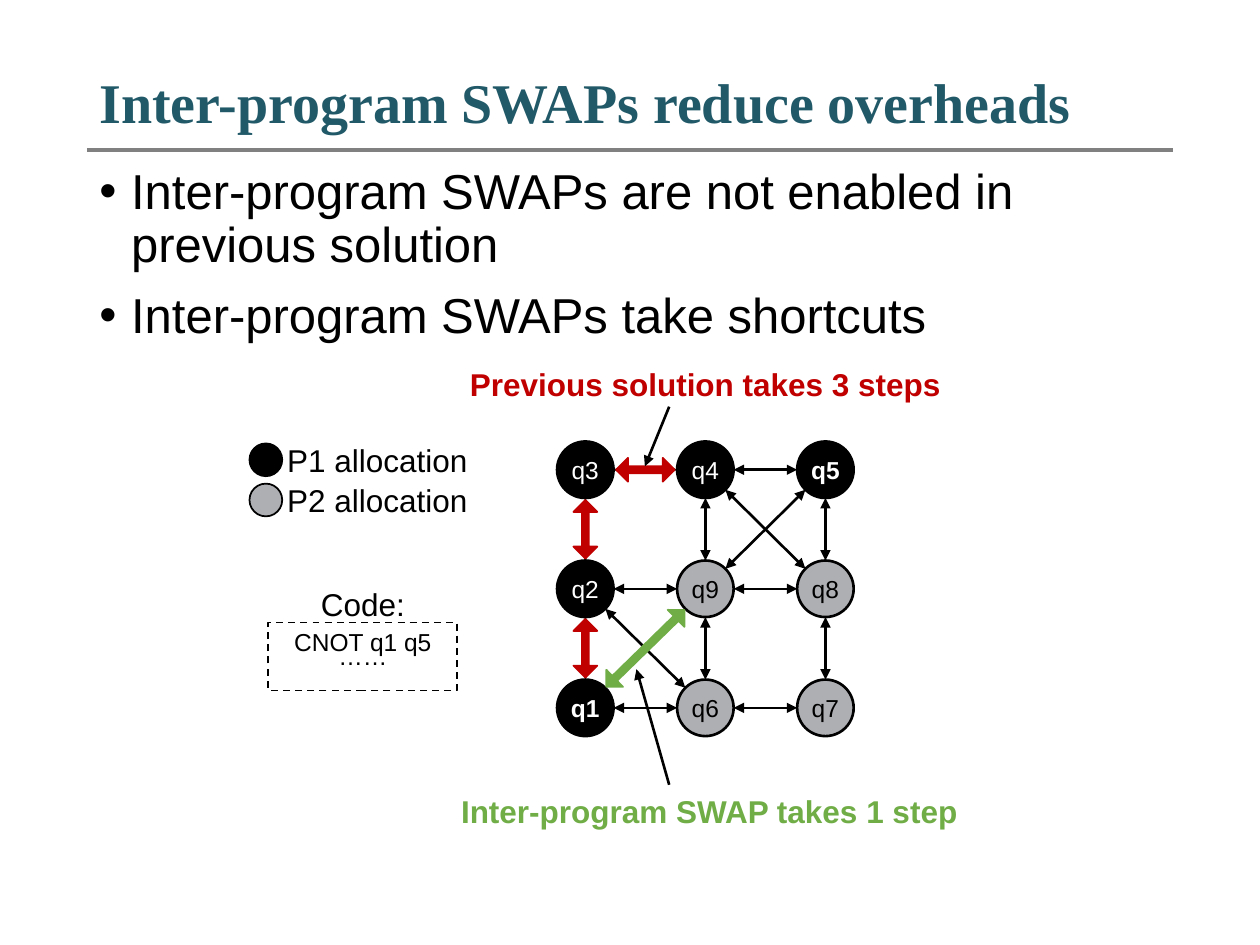
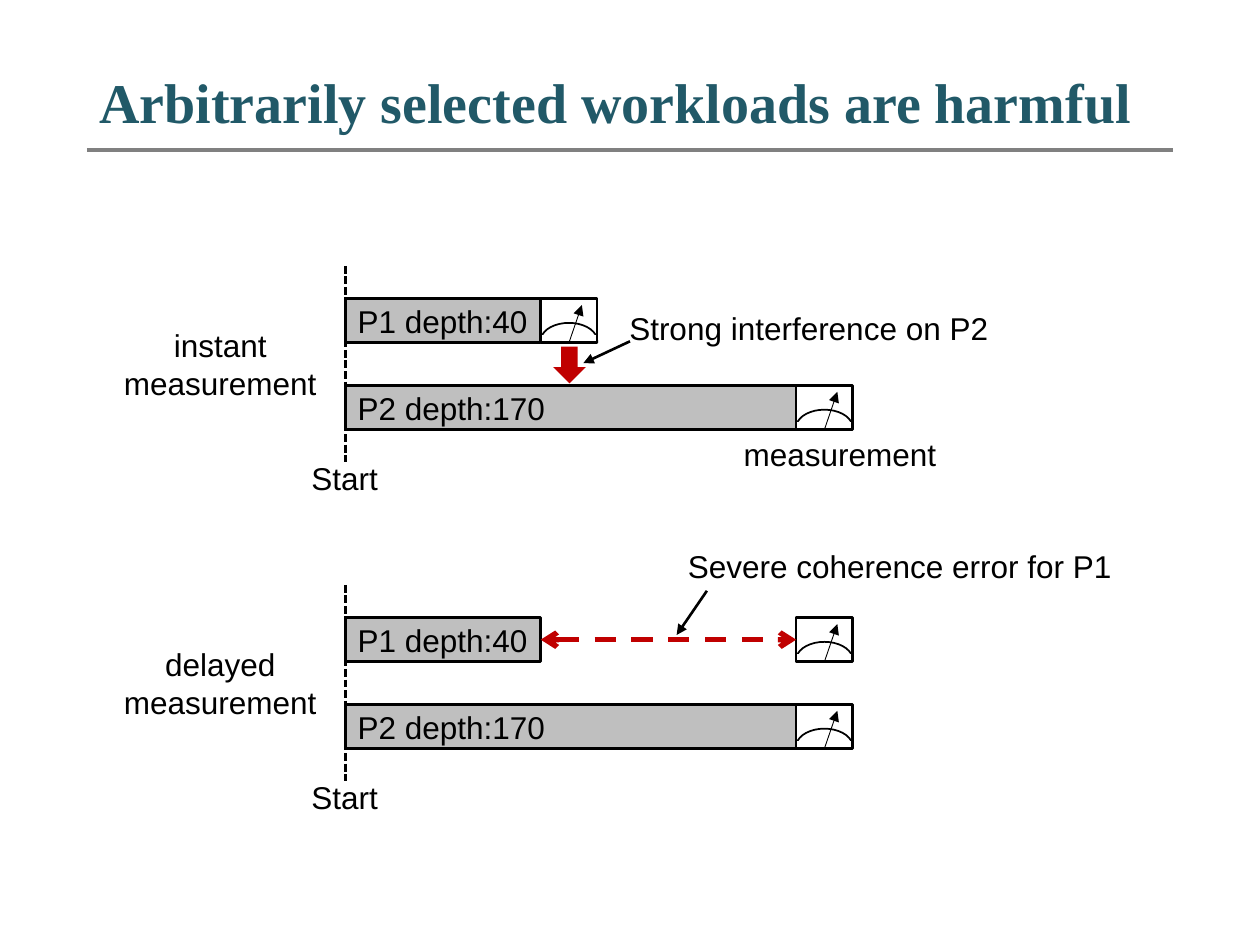
from itertools import combinations
from math import cos, hypot, radians, sin

from lxml import etree
from pptx import Presentation
from pptx.dml.color import RGBColor
from pptx.enum.dml import MSO_LINE
from pptx.enum.shapes import MSO_CONNECTOR, MSO_SHAPE
from pptx.enum.text import MSO_ANCHOR, MSO_AUTO_SIZE, PP_ALIGN
from pptx.oxml.ns import qn
from pptx.util import Cm, Pt

STRAIGHT = MSO_CONNECTOR.STRAIGHT
RECT, OVAL = MSO_SHAPE.RECTANGLE, MSO_SHAPE.OVAL
TWO_WAY, DOWN = MSO_SHAPE.LEFT_RIGHT_ARROW, MSO_SHAPE.DOWN_ARROW
DASH, SHORT_DASH = MSO_LINE.DASH, MSO_LINE.SQUARE_DOT
TOP, MIDDLE = MSO_ANCHOR.TOP, MSO_ANCHOR.MIDDLE
LEFT, CENTER = PP_ALIGN.LEFT, PP_ALIGN.CENTER

BLACK, WHITE, TEAL, RULE = "000000", "FFFFFF", "215968", "808080"
RED, GREEN, NODE_GRAY, BAR_GRAY = "C00000", "70AD47", "AEAFB3", "BFBFBF"

POINTER = (None, "triangle")
BOTH_WAYS = ("triangle", "triangle")
CENTERED = {"alignment": CENTER}
TITLE_FONT = {"name": "Times New Roman", "size": Pt(32), "bold": True}
NO_MARGINS = {"margin_left": 0, "margin_right": 0, "margin_top": 0, "margin_bottom": 0}


def dress(item, fill=None, line=None, width=1.5, dash=None, ends=(),
          text="", ink=BLACK, font={}, frame={}, para={}):
    if line:
        item.line.color.rgb = RGBColor.from_string(line)
        item.line.width = Pt(width)
        if dash:
            item.line.dash_style = dash
        outline = item.element.spPr.find(qn("a:ln"))
        for tag, head in zip(("a:headEnd", "a:tailEnd"), ends):
            if head:
                etree.SubElement(outline, qn(tag), type=head)
    else:
        item.line.fill.background()
    if hasattr(item, "fill"):
        item.shadow.inherit = False
        if fill:
            item.fill.solid()
            item.fill.fore_color.rgb = RGBColor.from_string(fill)
        else:
            item.fill.background()
    else:
        etree.SubElement(item.element.spPr, qn("a:effectLst"))
    if text:
        item.text_frame.text = text
        layout = {"word_wrap": True, "auto_size": MSO_AUTO_SIZE.NONE, **frame}
        for key, value in layout.items():
            setattr(item.text_frame, key, value)
        for paragraph in item.text_frame.paragraphs:
            for key, value in {"alignment": LEFT, **para}.items():
                setattr(paragraph, key, value)
            for run in paragraph.runs:
                for key, value in {"name": "Arial", "size": Pt(18), **font}.items():
                    setattr(run.font, key, value)
                run.font.color.rgb = RGBColor.from_string(ink)
    return item


prs = Presentation()
prs.slide_width, prs.slide_height = Cm(25.4), Cm(19.05)

slides = []
for layout_index, title_width, title in (
    (1, 21.9, "Inter-program SWAPs reduce overheads"),
    (5, 22.53, "Arbitrarily selected workloads are harmful"),
):
    slide = prs.slides.add_slide(prs.slide_layouts[layout_index])
    heading = slide.shapes.title
    heading.left, heading.top, heading.width, heading.height = map(
        Cm, (1.75, 1.24, title_width, 1.78))
    dress(heading, text=title, ink=TEAL, font=TITLE_FONT,
          frame={"vertical_anchor": MIDDLE}, para={"line_spacing": 0.9})
    dress(slide.shapes.add_connector(STRAIGHT, *map(Cm, (1.75, 3.02, 23.65, 3.02))),
          line=RULE, width=2.25)
    slides.append(slide)
swaps, workloads = slides

claims = swaps.placeholders[1]
claims.left, claims.top, claims.width, claims.height = map(Cm, (1.75, 3.25, 21.9, 13.92))
dress(claims,
      text="Inter-program SWAPs are not enabled in previous solution\n"
           "Inter-program SWAPs take shortcuts",
      font={"size": Pt(28)}, frame={"vertical_anchor": TOP}, para={"line_spacing": 0.9})
for index, claim in enumerate(claims.text_frame.paragraphs):
    claim.space_before = Pt(10 if index else 0)
    properties = claim.font and claim._p.get_or_add_pPr()
    for stale in properties.findall(qn("a:defRPr")):
        properties.remove(stale)
    properties.set("marL", str(Cm(0.64)))
    properties.set("indent", str(Cm(-0.64)))
    etree.SubElement(properties, qn("a:buChar"), char="•")

RADIUS = 0.57
qubit_rows = (("q3", "q4", "q5"), ("q2", "q9", "q8"), ("q1", "q6", "q7"))
program_1 = {"q1", "q2", "q3", "q4", "q5"}
cnot_qubits = {"q1", "q5"}
diagonals = ({"q5", "q9"}, {"q4", "q8"}, {"q9", "q1"}, {"q2", "q6"})

centers = {}
for row, names in enumerate(qubit_rows):
    for column, name in enumerate(names):
        x, y = 11.8 + 2.42 * column, 9.47 + 2.4 * row
        centers[name] = (x, y)
        first = name in program_1
        dress(swaps.shapes.add_shape(
                  OVAL, *map(Cm, (x - RADIUS, y - RADIUS, 2 * RADIUS, 2 * RADIUS))),
              fill=BLACK if first else NODE_GRAY, line=BLACK,
              text=name, ink=WHITE if first else BLACK,
              font={"size": Pt(14), "bold": name in cnot_qubits},
              frame={**NO_MARGINS, "word_wrap": False, "vertical_anchor": MIDDLE},
              para=CENTERED)

for start, end in combinations(centers, 2):
    (x1, y1), (x2, y2) = centers[start], centers[end]
    across, down = round((x2 - x1) / 2.42), round((y2 - y1) / 2.4)
    if abs(across) + abs(down) == 1 or {start, end} in diagonals:
        reach = RADIUS / hypot(across, down)
        dx, dy = across * reach, down * reach
        dress(swaps.shapes.add_connector(
                  STRAIGHT, *map(Cm, (x1 + dx, y1 + dy, x2 - dx, y2 - dy))),
              line=BLACK, ends=BOTH_WAYS)

for start, end, length, angle, color in (
    ("q1", "q2", 1.18, 90, RED),
    ("q2", "q3", 1.18, 90, RED),
    ("q3", "q4", 1.18, 180, RED),
    ("q1", "q9", 2.21, 135.7, GREEN),
):
    (x1, y1), (x2, y2) = centers[start], centers[end]
    swap = swaps.shapes.add_shape(TWO_WAY, *map(
        Cm, ((x1 + x2 - length) / 2, (y1 + y2 - 0.48) / 2, length, 0.48)))
    swap.adjustments[0], swap.adjustments[1] = 0.29, 0.5
    swap.rotation = angle
    dress(swap, fill=color, line=color, width=1)

for y, color, program in ((8.94, BLACK, "P1 allocation"), (9.75, NODE_GRAY, "P2 allocation")):
    dress(swaps.shapes.add_shape(OVAL, *map(Cm, (5.03, y, 0.66, 0.66))),
          fill=color, line=BLACK, width=1)
    dress(swaps.shapes.add_textbox(*map(Cm, (5.54, y - 0.18, 4.78, 1.02))), text=program)

dress(swaps.shapes.add_shape(RECT, *map(Cm, (5.41, 12.55, 3.81, 1.37))),
      line=BLACK, width=1, dash=DASH, text="CNOT q1 q5\n……", font={"size": Pt(14)},
      frame={"vertical_anchor": MIDDLE}, para={**CENTERED, "line_spacing": Pt(8)})

for slide, box, text, color, bold in (
    (swaps, (3.96, 11.66, 6.71, 1.02), "Code:", BLACK, False),
    (swaps, (8.2, 7.24, 12.04, 1.02), "Previous solution takes 3 steps", RED, True),
    (swaps, (8.28, 15.85, 12.04, 1.02), "Inter-program SWAP takes 1 step", GREEN, True),
    (workloads, (12.04, 6.1, 8.53, 1.02), "Strong interference on P2", BLACK, False),
    (workloads, (13.59, 10.9, 9.1, 1.02), "Severe coherence error for P1", BLACK, False),
    (workloads, (14.71, 8.64, 4.45, 1.02), "measurement", BLACK, False),
):
    dress(slide.shapes.add_textbox(*map(Cm, box)), text=text, ink=color,
          font={"bold": bold}, para=CENTERED)

for slide, ends in (
    (swaps, (13.49, 8.2, 13.0, 9.4)),
    (swaps, (13.49, 15.82, 12.83, 13.49)),
    (workloads, (12.7, 6.88, 11.76, 7.32)),
    (workloads, (14.25, 11.91, 13.64, 12.8)),
):
    dress(slide.shapes.add_connector(STRAIGHT, *map(Cm, ends)), line=BLACK, ends=POINTER)

START, BAR_HEIGHT, METER_WIDTH = 6.96, 0.89, 1.14
P1_END, P2_END = 10.9, 16.05
for top, p1_meter, timing, timing_width in (
    (6.02, P1_END, "instant measurement", 5.38),
    (12.45, P2_END, "delayed measurement", 4.7),
):
    bars, meters = [], []
    for y, bar_end, meter_left, depth in (
        (top, P1_END, p1_meter, "P1 depth:40"),
        (top + 1.75, P2_END, P2_END, "P2 depth:170"),
    ):
        bars.append(dress(
            workloads.shapes.add_shape(RECT, *map(Cm, (START, y, bar_end - START, BAR_HEIGHT))),
            fill=BAR_GRAY, line=BLACK, text=depth,
            frame={"vertical_anchor": MIDDLE, "margin_right": 0}))

        middle, bottom = meter_left + METER_WIDTH / 2, y + BAR_HEIGHT
        arc = [(middle + METER_WIDTH / 2 * sin(radians(a)), bottom - 0.04 - 0.36 * cos(radians(a)))
               for a in range(-90, 91, 10)]
        corners = [(meter_left + METER_WIDTH, bottom), (meter_left, bottom)]
        dial = [(Cm(px), Cm(py)) for px, py in arc + corners]
        builder = workloads.shapes.build_freeform(*dial[0], scale=1.0)
        builder.add_line_segments(dial[1:], close=True)
        dress(builder.convert_to_shape(), fill=WHITE, line=BLACK, width=1)
        dress(workloads.shapes.add_shape(
                  RECT, *map(Cm, (meter_left, bottom - 0.13, METER_WIDTH, 0.13))),
              fill=WHITE, line=WHITE, width=1)
        meter = dress(workloads.shapes.add_shape(
                          RECT, *map(Cm, (meter_left, y, METER_WIDTH, BAR_HEIGHT))), line=BLACK)
        needle = workloads.shapes.add_connector(
            STRAIGHT, *map(Cm, (middle, bottom, middle + 0.26, y + 0.13)))
        needle.begin_connect(meter, 2)
        dress(needle, line=BLACK, width=0.5, ends=POINTER)
        meters.append(meter)

    dress(workloads.shapes.add_connector(
              STRAIGHT, *map(Cm, (START, top - 0.66, START, top + 3.29))),
          line=BLACK, dash=SHORT_DASH)
    for box, text in (
        ((5.87, top + 3.1, 2.16, 1.02), "Start"),
        ((4.44 - timing_width / 2, top + 0.43, timing_width, 1.8), timing),
    ):
        dress(workloads.shapes.add_textbox(*map(Cm, box)), text=text, para=CENTERED)

idle_time = workloads.shapes.add_connector(STRAIGHT, 0, 0, 0, 0)
idle_time.begin_connect(bars[0], 3)
idle_time.end_connect(meters[0], 1)
dress(idle_time, line=RED, width=3, dash=DASH, ends=("arrow", "arrow"))

dress(workloads.shapes.add_shape(DOWN, *map(Cm, (11.15, 6.99, 0.66, 0.74))), fill=RED)

prs.save("out.pptx")
